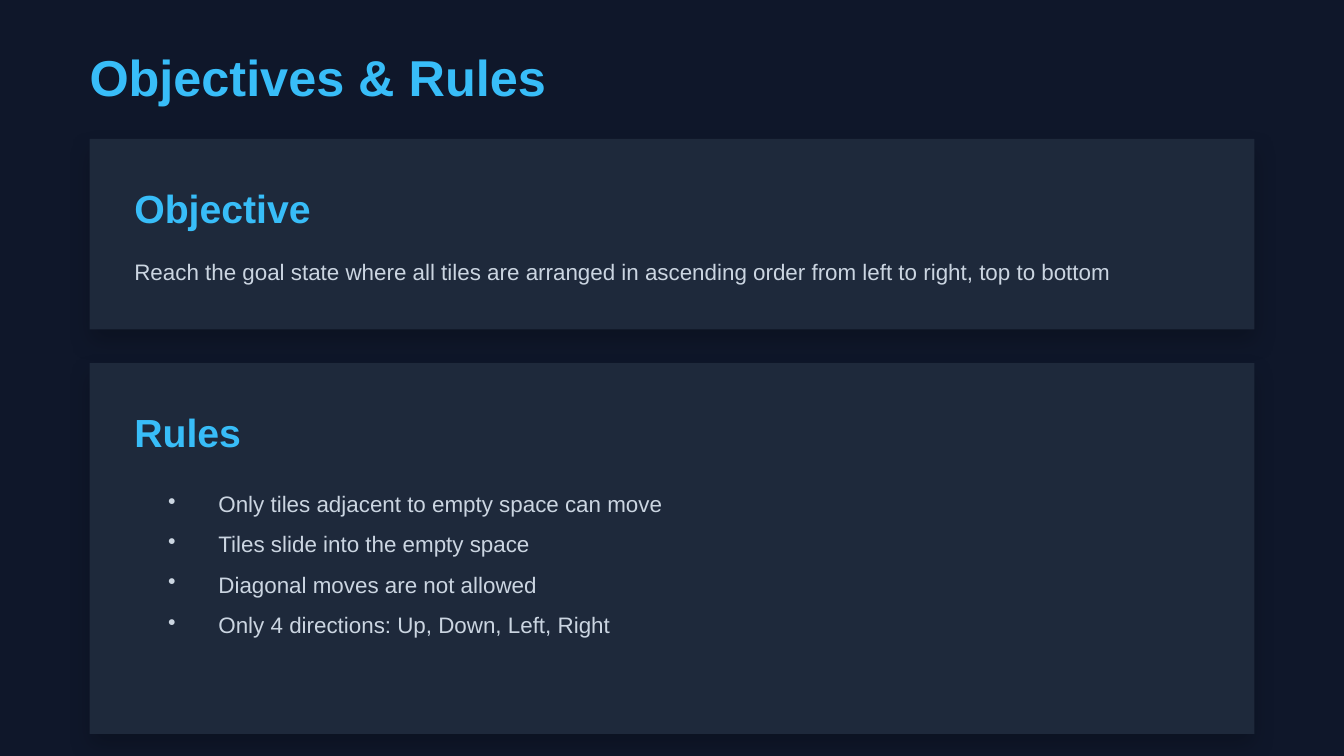
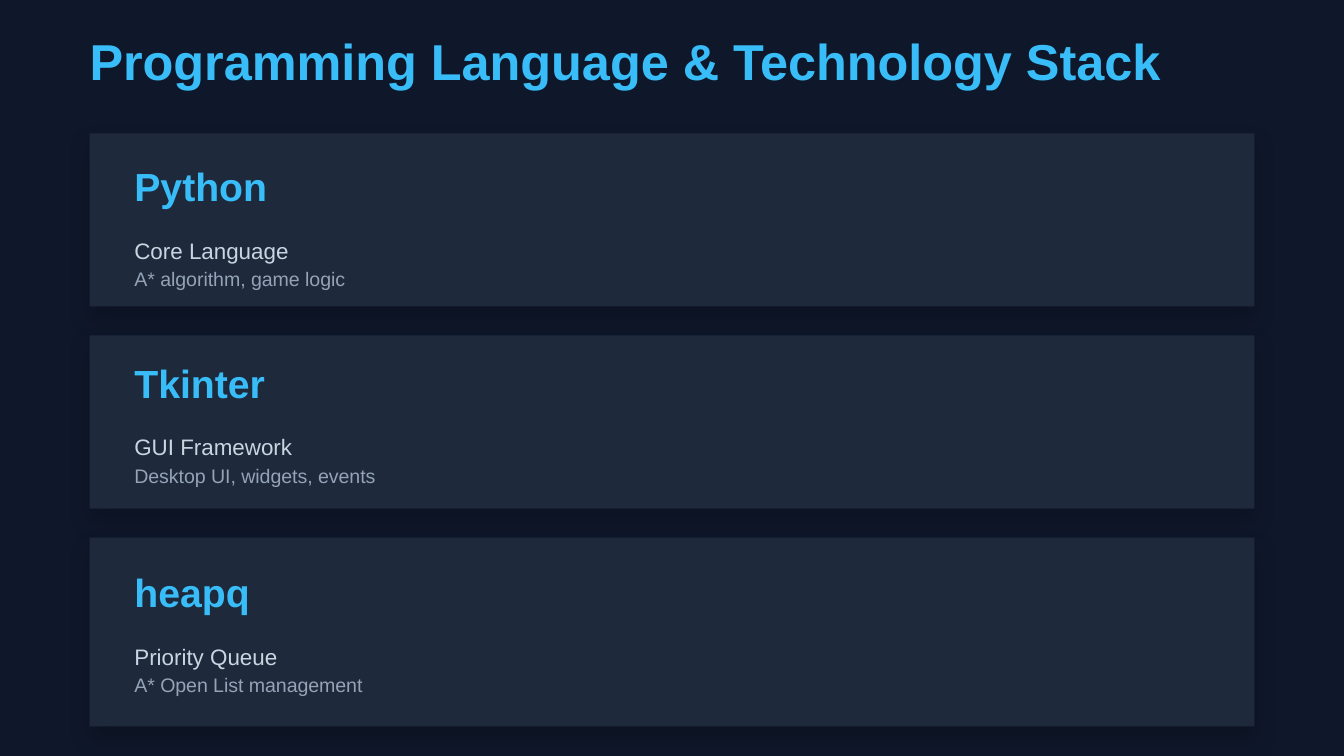
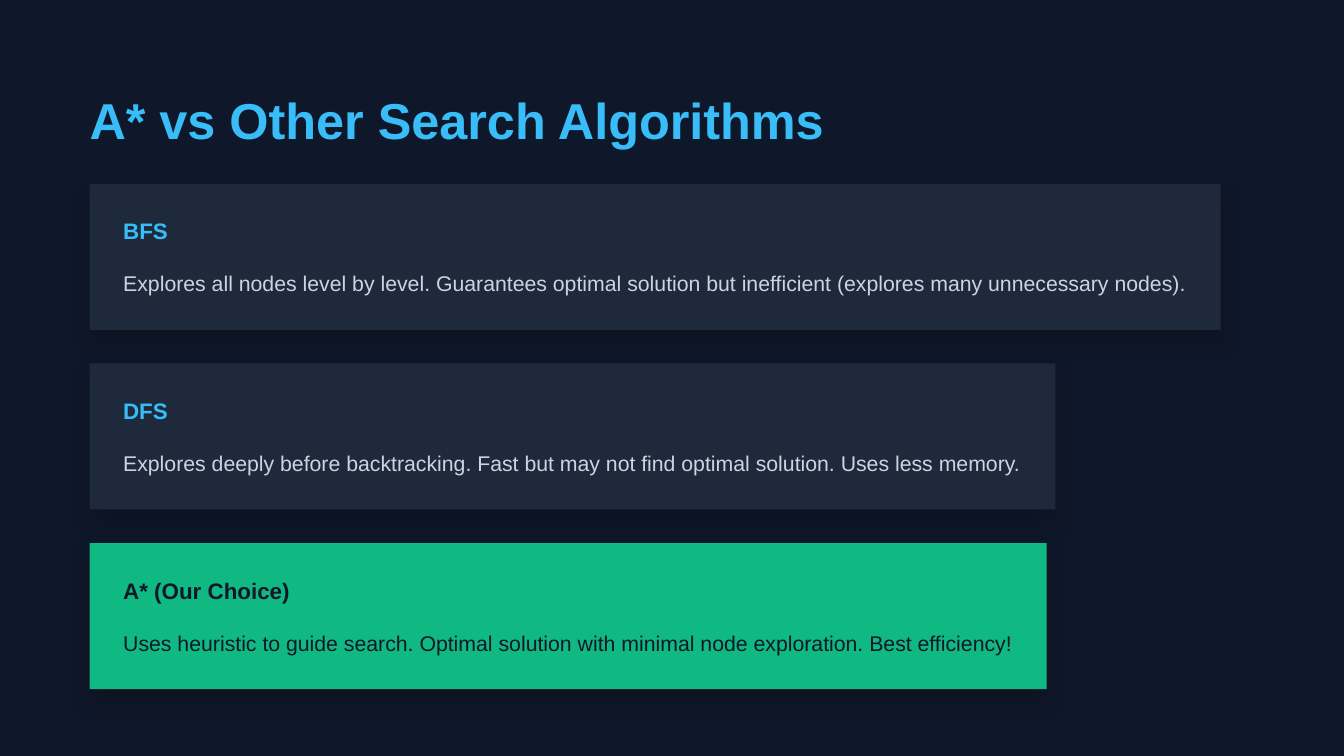
from dataclasses import dataclass

from pptx import Presentation
from pptx.dml.color import RGBColor as Color
from pptx.enum.shapes import MSO_SHAPE as Preset
from pptx.enum.text import MSO_ANCHOR as Anchor
from pptx.oxml import parse_xml
from pptx.oxml.ns import nsdecls
from pptx.util import Pt


@dataclass(frozen=True)
class Theme:
    font: str = "Arial"
    background: str = "0F172A"
    card: str = "1E293B"
    highlight: str = "10B981"
    accent: str = "38BDF8"
    body: str = "CBD5E1"
    muted: str = "94A3B8"
    title_size: float = 27
    heading_size: float = 21
    body_size: float = 12
    detail_size: float = 10.5
    description_size: float = 11.4


@dataclass(frozen=True)
class Box:
    left: float
    top: float
    width: float
    height: float


THEME = Theme()
SLIDE_WIDTH, SLIDE_HEIGHT = 720, 405
MARGIN = 48
CONTENT_WIDTH = SLIDE_WIDTH - 2 * MARGIN
WIDTH_SLACK = 1.02
PADDING = 24
SMALL_PADDING = 18
BULLET_INDENT = 27


def add_text(slide, text, left, top, width, *, size=THEME.body_size, color=THEME.body,
             bold=False, leading=1.4, height=None, bullet=None):
    """Add text, one paragraph per line; leading is a multiple of the type size."""
    line_height = round(size * leading, 1)
    text_box = slide.shapes.add_textbox(Pt(left), Pt(top), Pt(width), Pt(height or line_height))
    frame = text_box.text_frame
    frame.margin_left = frame.margin_top = frame.margin_right = frame.margin_bottom = 0
    frame.vertical_anchor = Anchor.TOP
    frame.word_wrap = True
    frame.text = text
    for paragraph in frame.paragraphs:
        paragraph.line_spacing = Pt(line_height)
        font = paragraph.runs[0].font
        font.name, font.size, font.bold = THEME.font, Pt(size), bold
        font.color.rgb = Color.from_string(color)
        if bullet:
            properties = paragraph._p.get_or_add_pPr()
            properties.set("marL", str(Pt(BULLET_INDENT)))
            properties.set("indent", str(-Pt(BULLET_INDENT)))
            properties.append(parse_xml(f'<a:buChar {nsdecls("a")} char="{bullet}"/>'))


def add_card(slide, box, fill=THEME.card):
    card = slide.shapes.add_shape(
        Preset.RECTANGLE, Pt(box.left), Pt(box.top), Pt(box.width), Pt(box.height))
    card.fill.solid()
    card.fill.fore_color.rgb = Color.from_string(fill)
    card.line.fill.background()
    card._element.spPr.append(parse_xml(
        f'<a:effectLst {nsdecls("a")}><a:outerShdw blurRad="{Pt(12)}" dist="{Pt(6)}" '
        'dir="5400000" algn="bl" rotWithShape="0"><a:srgbClr val="000000">'
        '<a:alpha val="20000"/></a:srgbClr></a:outerShdw></a:effectLst>'))


def add_titled_slide(presentation, title, top):
    slide = presentation.slides.add_slide(presentation.slide_layouts[6])
    slide.background.fill.solid()
    slide.background.fill.fore_color.rgb = Color.from_string(THEME.background)
    add_text(slide, title, MARGIN, top, CONTENT_WIDTH * WIDTH_SLACK,
             size=THEME.title_size, color=THEME.accent, bold=True, leading=1.2)
    return slide


def add_section_card(slide, box, heading, body=None, detail=None, heading_offset=PADDING):
    """Add a card with a large heading and optional lines of text under it."""
    add_card(slide, box)
    left, top = box.left + PADDING, box.top + heading_offset
    width = (box.width - 2 * PADDING) * WIDTH_SLACK
    add_text(slide, heading, left, top, width, size=THEME.heading_size,
             color=THEME.accent, bold=True, leading=1.2)
    if body:
        add_text(slide, body, left, top + 37.5, width)
    if detail:
        add_text(slide, detail, left, top + 54, width,
                 size=THEME.detail_size, color=THEME.muted)


def add_rules_card(slide, box, heading, rules):
    add_section_card(slide, box, heading)
    inset = PADDING + SMALL_PADDING
    add_text(slide, "\n".join(rules), box.left + inset, box.top + 61,
             box.width - inset - PADDING, height=113, leading=1.8, bullet="•")


def add_algorithm_card(slide, box, name, description, chosen=False):
    add_card(slide, box, THEME.highlight if chosen else THEME.card)
    left = box.left + SMALL_PADDING
    width = (box.width - 2 * SMALL_PADDING) * WIDTH_SLACK
    add_text(slide, name, left, box.top + SMALL_PADDING, width, bold=True, leading=1.2,
             color=THEME.background if chosen else THEME.accent)
    add_text(slide, description, left, box.top + 44.2, width, size=THEME.description_size,
             color=THEME.background if chosen else THEME.body)


def add_objectives_slide(presentation):
    slide = add_titled_slide(presentation, "Objectives & Rules", 24.5)
    add_section_card(
        slide, Box(MARGIN, 74.5, CONTENT_WIDTH, 102), "Objective",
        "Reach the goal state where all tiles are arranged in ascending order "
        "from left to right, top to bottom")
    add_rules_card(slide, Box(MARGIN, 194.5, CONTENT_WIDTH, 198.75), "Rules", [
        "Only tiles adjacent to empty space can move",
        "Tiles slide into the empty space",
        "Diagonal moves are not allowed",
        "Only 4 directions: Up, Down, Left, Right",
    ])


def add_technology_slide(presentation):
    slide = add_titled_slide(presentation, "Programming Language & Technology Stack", 16)
    technologies = [
        ("Python", "Core Language", "A* algorithm, game logic", 92.75, 15.5),
        ("Tkinter", "GUI Framework", "Desktop UI, widgets, events", 92.75, 12.5),
        ("heapq", "Priority Queue", "A* Open List management", 101.25, 16.5),
    ]
    for index, (name, role, detail, height, heading_offset) in enumerate(technologies):
        box = Box(MARGIN, 71.5 + index * 108.25, CONTENT_WIDTH, height)
        add_section_card(slide, box, name, role, detail, heading_offset)


def add_comparison_slide(presentation):
    slide = add_titled_slide(presentation, "A* vs Other Search Algorithms", 48)
    algorithms = [
        ("BFS", "Explores all nodes level by level. Guarantees optimal solution but "
                "inefficient (explores many unnecessary nodes).", 606, False),
        ("DFS", "Explores deeply before backtracking. Fast but may not find optimal "
                "solution. Uses less memory.", 517.5, False),
        ("A* (Our Choice)", "Uses heuristic to guide search. Optimal solution with minimal "
                            "node exploration. Best efficiency!", 512.75, True),
    ]
    for index, (name, description, width, chosen) in enumerate(algorithms):
        box = Box(MARGIN, 98.5 + index * 96.25, width, 78.25)
        add_algorithm_card(slide, box, name, description, chosen)


def main():
    presentation = Presentation()
    presentation.slide_width, presentation.slide_height = Pt(SLIDE_WIDTH), Pt(SLIDE_HEIGHT)
    add_objectives_slide(presentation)
    add_technology_slide(presentation)
    add_comparison_slide(presentation)
    presentation.save("out.pptx")


if __name__ == "__main__":
    main()
